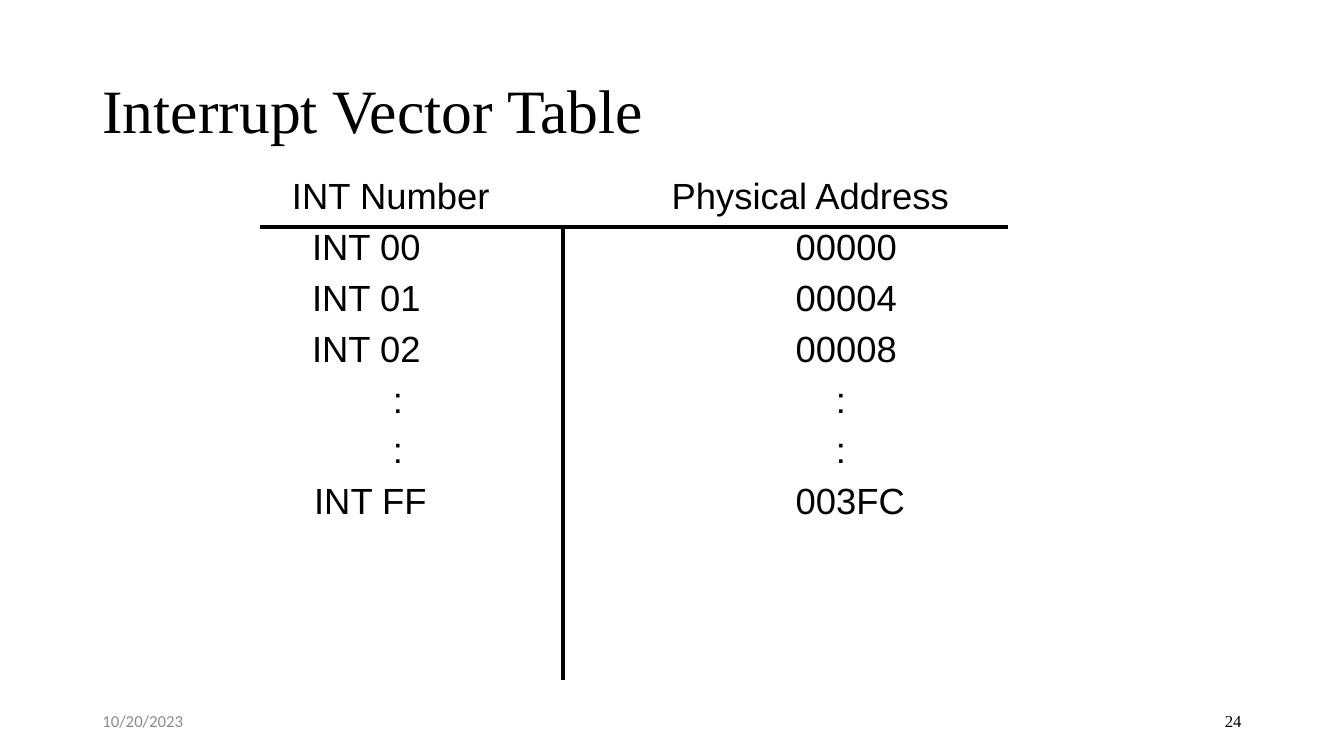
import dataclasses
import pptx
import pptx.dml.color
import pptx.enum.shapes
import pptx.enum.text
import pptx.oxml.ns
import pptx.util
from lxml import etree

WIDE = pptx.util.Inches(13.333)
HIGH = pptx.util.Inches(7.5)
COLS, ROWS = 32, 18
SERIF = "Times New Roman"
ALIGN = pptx.enum.text.PP_ALIGN
ANCHOR = pptx.enum.text.MSO_ANCHOR


@dataclasses.dataclass
class Box:
    """A place on the grid, in columns and rows."""
    col: float
    row: float
    wide: float
    high: float


@dataclasses.dataclass
class Style:
    face: str
    size: float
    hue: str = "000000"


@dataclasses.dataclass
class Footer:
    text: str
    box: Box
    style: Style
    align: ALIGN


@dataclasses.dataclass
class Entry:
    """A line of a list and its indent in inches."""
    text: str
    indent: float


@dataclasses.dataclass
class Column:
    """A list in the body placeholder with the given index."""
    index: int
    box: Box
    entries: list[Entry]


@dataclasses.dataclass
class Rule:
    col: float
    row: float
    endcol: float
    endrow: float


TITLE = Box(2.2, 0.96, 27.6, 3.48)
FOOTERS = [
    Footer("10/20/2023", Box(2.2, 16.68, 7.2, 0.96),
           Style("Calibri", 12, "8C8C8C"), ALIGN.LEFT),
    Footer("24", Box(22.6, 16.68, 7.2, 0.96), Style(SERIF, 12), ALIGN.RIGHT),
]
COLUMNS = [
    Column(1, Box(5.8, 4, 7.6, 12.6), [
        Entry("INT Number", 0.38),
        *(Entry(f"INT {number:02}", 0.58) for number in range(3)),
        *[Entry(":", 1.38)] * 2,
        Entry("INT FF", 0.6),
    ]),
    Column(2, Box(13.4, 4, 12.8, 12.6), [
        Entry("Physical Address", 0.98),
        *(Entry(f"{4 * number:05X}", 2.21) for number in range(3)),
        *[Entry(":", 2.61)] * 2,
        Entry("003FC", 2.21),
    ]),
]
RULES = [Rule(13.4, 5.4, 13.4, 16.2), Rule(6.2, 5.4, 24, 5.4)]


def across(col: float) -> int:
    return round(WIDE * col / COLS)


def down(row: float) -> int:
    return round(HIGH * row / ROWS)


def color(hue: str) -> pptx.dml.color.RGBColor:
    return pptx.dml.color.RGBColor.from_string(hue)


def place(shape, box: Box, anchor: ANCHOR) -> None:
    shape.left, shape.top = across(box.col), down(box.row)
    shape.width, shape.height = across(box.wide), down(box.high)
    frame = shape.text_frame
    frame.word_wrap = True
    frame.auto_size = pptx.enum.text.MSO_AUTO_SIZE.NONE
    frame.vertical_anchor = anchor


def format(para, style: Style, align: ALIGN = ALIGN.LEFT) -> None:
    para.alignment = align
    para.font.name = style.face
    para.font.size = pptx.util.Pt(style.size)
    para.font.color.rgb = color(style.hue)


def indent(para, inches: float) -> None:
    """Drop the bullet and set the left margin."""
    props = para._p.get_or_add_pPr()
    props.set("marL", str(pptx.util.Inches(inches)))
    props.set("indent", "0")
    etree.SubElement(props, pptx.oxml.ns.qn("a:buNone"))


def add_title(slide, text: str) -> None:
    title = slide.shapes.title
    title.text_frame.text = text
    place(title, TITLE, ANCHOR.MIDDLE)
    para = title.text_frame.paragraphs[0]
    para.line_spacing = 0.9
    format(para, Style(SERIF, 44))


def add_column(slide, column: Column) -> None:
    body = slide.placeholders[column.index]
    place(body, column.box, ANCHOR.TOP)
    frame = body.text_frame
    frame.text = "\n".join(entry.text for entry in column.entries)
    for para, entry in zip(frame.paragraphs, column.entries):
        para.space_before = pptx.util.Pt(5.2)
        indent(para, entry.indent)
        format(para, Style("Arial", 26))


def add_footer(slide, footer: Footer) -> None:
    shape = slide.shapes.add_textbox(0, 0, 0, 0)
    place(shape, footer.box, ANCHOR.MIDDLE)
    shape.text_frame.text = footer.text
    format(shape.text_frame.paragraphs[0], footer.style, footer.align)


def add_rule(slide, rule: Rule) -> None:
    line = slide.shapes.add_connector(
        pptx.enum.shapes.MSO_CONNECTOR.STRAIGHT,
        across(rule.col), down(rule.row),
        across(rule.endcol), down(rule.endrow))
    line.line.color.rgb = color("000000")
    line.line.width = pptx.util.Pt(3)
    etree.SubElement(line._element.spPr, pptx.oxml.ns.qn("a:effectLst"))


def main() -> None:
    deck = pptx.Presentation()
    deck.slide_width, deck.slide_height = WIDE, HIGH
    slide = deck.slides.add_slide(deck.slide_layouts[3])
    add_title(slide, "Interrupt Vector Table")
    for column in COLUMNS:
        add_column(slide, column)
    for footer in FOOTERS:
        add_footer(slide, footer)
    for rule in RULES:
        add_rule(slide, rule)
    deck.save("out.pptx")


if __name__ == "__main__":
    main()
